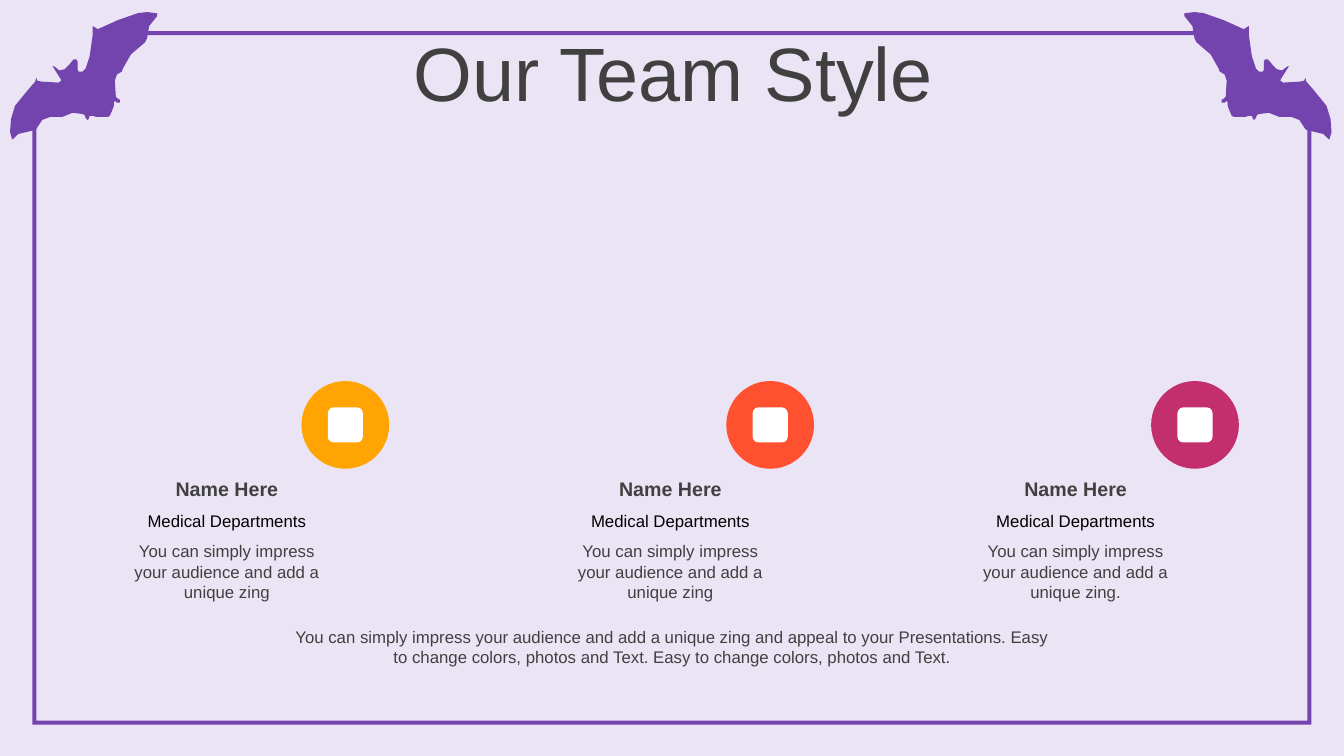
from dataclasses import dataclass

from pptx import Presentation
from pptx.dml.color import RGBColor
from pptx.enum.shapes import MSO_SHAPE
from pptx.enum.text import MSO_ANCHOR, PP_ALIGN
from pptx.shapes.autoshape import Shape
from pptx.slide import Slide
from pptx.text.text import TextFrame
from pptx.util import Inches, Pt

WIDTH, HEIGHT = Inches(13.333), Inches(7.5)
FONT = "Arial"
COLORS = {
    "background": "EBE4F4", "purple": "7344AE", "text": "404040",
    "black": "000000", "white": "FFFFFF",
    "amber": "FFA402", "orange": "FF5030", "magenta": "C32F6D",
}

# All places are percentages of the slide's width and height
BADGE_LEFT, BADGE_STEP, BADGE_TOP, BADGE_SIZE = 22.43, 31.61, 50.4, 6.53
MARK_SHARE = 0.4
MEMBER_WIDTH = 17.1

# Left bat outline, in hundredths of an inch from the slide's corner
BAT = [
    (36, 77), (37, 80), (41, 81), (58, 82), (61, 80), (60, 78), (53, 67), (52, 66),
    (54, 66), (59, 70), (63, 69), (64, 69), (68, 65), (73, 59), (76, 59), (77, 61),
    (77, 69), (78, 71), (82, 71), (85, 68), (89, 56), (92, 35), (92, 26), (94, 27),
    (97, 29), (117, 20), (137, 13), (146, 12), (154, 13), (156, 13), (156, 16),
    (148, 26), (146, 38), (144, 42), (130, 54), (122, 68), (121, 71), (116, 74),
    (114, 80), (115, 96), (117, 98), (119, 99), (119, 102), (116, 102), (114, 100),
    (113, 102), (113, 105), (112, 108), (109, 115), (107, 116), (98, 116), (95, 116),
    (93, 115), (89, 115), (88, 118), (87, 119), (85, 117), (84, 114), (81, 113),
    (72, 112), (62, 116), (59, 116), (50, 116), (42, 119), (36, 128), (35, 129),
    (18, 133), (13, 138), (12, 138), (10, 131), (11, 118), (15, 105), (28, 89),
    (35, 81),
]
BAT_MIRROR = 1331

# The frame is open at both upper corners, where the bats sit
FRAME = [
    [(97.28, 14.4), (97.58, 14.4), (97.58, 95.87), (2.4, 95.87),
     (2.4, 14.4), (2.7, 14.4), (2.7, 95.33), (97.28, 95.33)],
    [(8.1, 4.13), (91.9, 4.13), (91.9, 4.67), (8.1, 4.67)],
]


@dataclass
class Member:
    left: float
    badge_color: str
    description: str


@dataclass
class Line:
    top: float
    height: float
    size: int
    color: str
    bold: bool = False


MEMBERS = [
    Member(8.33, "amber", "You can simply impress your audience and add a unique zing"),
    Member(41.33, "orange", "You can simply impress your audience and add a unique zing"),
    Member(71.48, "magenta", "You can simply impress your audience and add a unique zing."),
]
NAME_LINE = Line(62.4, 4.53, 14, "text", True)
ROLE_LINE = Line(66.93, 4, 12, "black")
DESCRIPTION_LINE = Line(70.93, 9.47, 12, "text")
SUMMARY_LINE = Line(82.27, 6.67, 12, "text")


def across(percent: float) -> int:
    return round(WIDTH * percent / 100)


def down(percent: float) -> int:
    return round(HEIGHT * percent / 100)


def color(name: str) -> RGBColor:
    return RGBColor.from_string(COLORS[name])


def paint(shape: Shape, fill: str) -> None:
    shape.shadow.inherit = False
    shape.fill.solid()
    shape.fill.fore_color.rgb = color(fill)
    shape.line.fill.background()


def write(text_frame: TextFrame, text: str, line: Line) -> None:
    text_frame.word_wrap = True
    text_frame.text = text
    paragraph = text_frame.paragraphs[0]
    paragraph.alignment = PP_ALIGN.CENTER
    font = paragraph.runs[0].font
    font.name, font.size, font.bold = FONT, Pt(line.size), line.bold
    font.color.rgb = color(line.color)


def add_outline(slide: Slide, contours: list[list[tuple[int, int]]]) -> None:
    builder = slide.shapes.build_freeform(*contours[0][0])
    builder.add_line_segments(contours[0][1:])
    for contour in contours[1:]:
        builder.move_to(*contour[0])
        builder.add_line_segments(contour[1:])
    paint(builder.convert_to_shape(), "purple")


def add_text(slide: Slide, left: float, width: float, text: str, line: Line) -> None:
    box = slide.shapes.add_textbox(across(left), down(line.top), across(width), down(line.height))
    write(box.text_frame, text, line)


def add_badge(slide: Slide, column: int, fill: str) -> None:
    left, top = across(BADGE_LEFT + column * BADGE_STEP), down(BADGE_TOP)
    size = across(BADGE_SIZE)
    paint(slide.shapes.add_shape(MSO_SHAPE.OVAL, left, top, size, size), fill)
    mark = round(size * MARK_SHARE)
    inset = (size - mark) // 2
    paint(slide.shapes.add_shape(MSO_SHAPE.ROUNDED_RECTANGLE, left + inset, top + inset,
                                 mark, mark), "white")


def add_title(slide: Slide) -> None:
    title = slide.shapes.title
    line = Line(4.93, 10.53, 54, "text")
    title.left, title.top = across(2.62), down(line.top)
    title.width, title.height = across(94.95), down(line.height)
    write(title.text_frame, "Our Team Style", line)
    title.text_frame.vertical_anchor = MSO_ANCHOR.MIDDLE
    title.text_frame.paragraphs[0].line_spacing = 0.9


def main() -> None:
    presentation = Presentation()
    presentation.slide_width, presentation.slide_height = WIDTH, HEIGHT
    slide = presentation.slides.add_slide(presentation.slide_layouts[5])
    slide.background.fill.solid()
    slide.background.fill.fore_color.rgb = color("background")

    # Bats and frame
    left_bat = [(Inches(x / 100), Inches(y / 100)) for x, y in BAT]
    right_bat = [(Inches(BAT_MIRROR / 100) - x, y) for x, y in left_bat]
    add_outline(slide, [right_bat])
    add_outline(slide, [left_bat])
    add_outline(slide, [[(across(x), down(y)) for x, y in contour] for contour in FRAME])

    add_title(slide)

    # Team members
    for column, member in enumerate(MEMBERS):
        add_badge(slide, column, member.badge_color)
        add_text(slide, member.left, MEMBER_WIDTH, "Name Here", NAME_LINE)
        add_text(slide, member.left, MEMBER_WIDTH, "Medical Departments", ROLE_LINE)
        add_text(slide, member.left, MEMBER_WIDTH, member.description, DESCRIPTION_LINE)

    # Summary
    add_text(slide, 20.63, 58.8,
             "You can simply impress your audience and add a unique zing and appeal to your "
             "Presentations. Easy to change colors, photos and Text. Easy to change colors, "
             "photos and Text.", SUMMARY_LINE)

    presentation.save("out.pptx")


if __name__ == "__main__":
    main()
